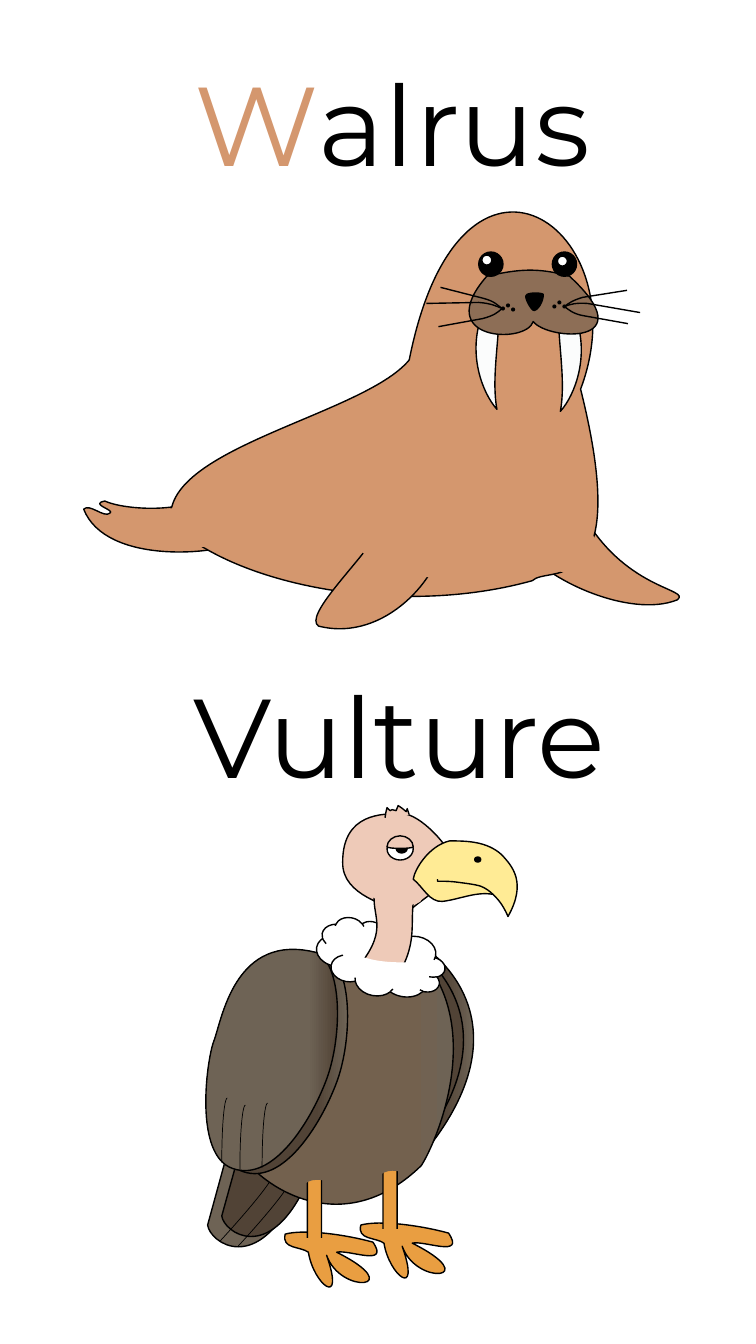
from dataclasses import dataclass

from lxml.etree import SubElement
from pptx import Presentation
from pptx.dml.color import RGBColor
from pptx.enum.shapes import MSO_SHAPE as Preset
from pptx.oxml.ns import qn
from pptx.util import Inches, Pt


@dataclass(frozen=True)
class Theme:
    """Colours, type and line widths of the slide."""
    font: str = "Montserrat"
    title_size: int = 80
    outline: float = 1
    feather_line: float = 0.5
    black: str = "000000"
    white: str = "FFFFFF"
    hide: str = "D4976E"
    muzzle: str = "8D6E56"
    tusk: str = "FBFCFC"
    grey: str = "6E6355"
    dark: str = "514336"
    brown: str = "73614E"
    leg: str = "E99E41"
    skin: str = "EECAB8"
    beak: str = "FFEB95"


@dataclass(frozen=True)
class Box:
    """A region of the slide in inches."""
    left: float
    top: float
    width: float
    height: float


THEME = Theme()
CURVE_STEPS = 12
PATH_TAGS = {"M": "a:moveTo", "L": "a:lnTo", "C": "a:cubicBezTo"}


def read_steps(path):
    """Split a path into its M, L and C steps with their points."""
    for letter in PATH_TAGS:
        path = path.replace(letter, "|" + letter)
    steps = []
    for step in path.split("|")[1:]:
        numbers = [Inches(float(number)) for number in step[1:].split()]
        steps.append((step[0], list(zip(numbers[::2], numbers[1::2]))))
    return steps


def trace(steps):
    """List points along the steps, which give the extent of the outline."""
    points = []
    for letter, pairs in steps:
        if letter != "C":
            points += pairs
            continue
        corners = [points[-1], *pairs]
        for index in range(1, CURVE_STEPS + 1):
            t = index / CURVE_STEPS
            weights = ((1 - t) ** 3, 3 * t * (1 - t) ** 2, 3 * t * t * (1 - t), t ** 3)
            points.append(tuple(sum(weight * corner[axis] for weight, corner in zip(weights, corners))
                                for axis in (0, 1)))
    return points


def bend(shape, steps, left, top, close):
    """Give a freeform true curves, measured from its own corner."""
    path = shape.element.spPr.find(".//" + qn("a:path"))
    for child in list(path):
        path.remove(child)
    for letter, pairs in steps:
        step = SubElement(path, qn(PATH_TAGS[letter]))
        for x, y in pairs:
            SubElement(step, qn("a:pt"), x=str(int(x - left)), y=str(int(y - top)))
    if close:
        SubElement(path, qn("a:close"))


class Sketch:
    """Draws parts at places measured from the corner of a box."""

    def __init__(self, page, box):
        """Keep the page's shapes and the box."""
        self.shapes, self.box = page.shapes, box

    def paint(self, shape, fill, line):
        """Set the fill, a plain colour or a gradient, and the line of a shape."""
        shape.shadow.inherit = False
        if fill is None:
            shape.fill.background()
        elif isinstance(fill, tuple):
            shape.fill.gradient()
            shape.fill.gradient_angle = 180
            for stop, (position, colour) in zip(shape.fill.gradient_stops, fill):
                stop.position = position
                stop.color.rgb = RGBColor.from_string(colour)
        else:
            shape.fill.solid()
            shape.fill.fore_color.rgb = RGBColor.from_string(fill)
        if line:
            shape.line.width = Pt(line)
            shape.line.color.rgb = RGBColor.from_string(THEME.black)
        else:
            shape.line.fill.background()

    def outline(self, path, fill=None, line=THEME.outline, shift=(0, 0), close=True):
        """Draw a free outline."""
        steps = read_steps(path)
        points = trace(steps)
        left, top = Inches(self.box.left + shift[0]), Inches(self.box.top + shift[1])
        builder = self.shapes.build_freeform(*points[0])
        builder.add_line_segments(points[1:], close=close)
        shape = builder.convert_to_shape(left, top)
        bend(shape, steps, shape.left - left, shape.top - top, close)
        self.paint(shape, fill, line)

    def preset(self, kind, left, top, width, height, fill=None, line=THEME.outline, turn=0, flip=False):
        """Draw a preset shape."""
        shape = self.shapes.add_shape(kind, Inches(self.box.left + left), Inches(self.box.top + top),
                                      Inches(width), Inches(height))
        shape.rotation = turn
        if flip:
            shape.element.spPr.find(qn("a:xfrm")).set("flipH", "1")
        self.paint(shape, fill, line)

    def title(self, left, top, width, height, initial, rest, colour):
        """Write a name with a coloured initial."""
        frame = self.shapes.add_textbox(Inches(self.box.left + left), Inches(self.box.top + top),
                                        Inches(width), Inches(height)).text_frame
        frame.word_wrap = True
        para = frame.paragraphs[0]
        para.font.name, para.font.size = THEME.font, Pt(THEME.title_size)
        for text, shade in ((initial, colour), (rest, THEME.black)):
            span = para.add_run()
            span.text = text
            span.font.color.rgb = RGBColor.from_string(shade)


def draw_vulture(page, box):
    """Draw the vulture and its name."""
    sketch, look = Sketch(page, box), THEME
    outline, preset = sketch.outline, sketch.preset
    sketch.title(1.82, 0.56, 4.9, 1.45, "V", "ulture", look.black)
    outline("M3.18 4.8 L2.49 4.58 L2.06 6.15 C2.08 6.32 2.55 6.67 2.95 5.81", look.grey)
    outline("M3.25 4.79 L2.61 4.58 L2.2 6.06 C2.22 6.22 2.67 6.55 3.04 5.74", look.dark)
    for left, top, height in ((2.27, 5.53, 1.58), (2.09, 5.46, 1.62)):
        preset(Preset.ARC, left, top, 0.11, height, line=look.feather_line, turn=42.6)
    rim = ((0, look.grey), (0.24, look.dark))
    for fill, shift in ((rim, (0, 0)), (look.dark, (-0.1, 0.01))):
        outline("M4.11 5.55 C5.34 4.16 4.29 3.41 4.09 3.32 C3.24 3.41 3.43 4.29 3.43 4.51 "
                "C3.39 4.9 4.03 5.56 4.11 5.55", fill, shift=shift)
    outline("M4.13 3.44 L3.26 3.48 L2.48 5.56 C2.77 5.87 3.48 6.24 4.18 5.56 C4.33 5.33 4.84 4.15 4.13 3.44",
            ((0, look.grey), (0.24, look.brown)))
    for across, down in ((0, 0), (-0.75, 0.09)):
        outline("M4.45 6.23 C4.16 6.15 3.76 6.1 3.58 6.15 C3.54 6.3 3.73 6.27 3.81 6.33 "
                "C3.86 6.65 4.18 6.9 3.99 6.36 C4.13 6.76 4.81 6.69 4.09 6.33 C4.21 6.3 4.62 6.48 4.45 6.23",
                look.leg, shift=(across, down))
        preset(Preset.ROUNDED_RECTANGLE, 3.8 + across, 5.55 + down, 0.14, 0.69, look.leg)
        preset(Preset.ROUNDED_RECTANGLE, 3.77 + across, 6.19 + down, 0.21, 0.11, look.leg, 0)
        outline("M4.05 5.63 C3.94 5.62 3.84 5.57 3.73 5.69 L3.69 5.46 L4.01 5.4",
                look.brown, 0, shift=(across, down))
    for fill, shift in ((rim, (0, 0)), (((0, look.dark), (0.22, look.grey)), (-0.1, -0.03))):
        outline("M3.33 4.76 C3.49 4.36 3.51 3.63 3.25 3.48 C2.42 3.26 2.3 4.16 2.22 4.36 "
                "C2.15 4.55 2.02 5.49 2.41 5.62 C2.81 5.76 3.18 5.15 3.33 4.76", fill, shift=shift)
    for left, top in ((2.38, 4.96), (2.2, 4.89), (2.6, 4.94)):
        preset(Preset.ARC, left, top, 0.11, 1.28, line=look.feather_line, flip=True)
    outline("M4.5 2.56 C4.48 2.41 4.17 2.07 3.99 2.07 C3.8 2.07 3.4 2.06 3.4 2.55 C3.39 2.89 3.87 2.98 3.99 3.05 "
            "C4.1 3.13 4.01 3.08 4.1 3 C4.19 2.92 4.52 2.72 4.5 2.56", look.skin)
    outline("M4.98 2.48 C4.83 2.34 4.62 2.34 4.46 2.34 C4.25 2.39 4.11 2.63 4.1 2.72 C4.2 2.8 4.26 2.95 4.39 2.94 "
            "C4.56 2.92 4.72 2.84 4.89 2.87 C4.92 2.9 4.98 2.95 5.04 3.09 C5.23 2.75 5.08 2.59 4.98 2.48", look.beak)
    preset(Preset.OVAL, 3.84, 2.31, 0.26, 0.22, look.white)
    preset(Preset.OVAL, 3.93, 2.37, 0.11, 0.09, look.black)
    preset(Preset.CLOUD, 3.13, 3.16, 1.29, 0.72, look.white, turn=10.5, flip=True)
    outline("M4.11 2.89 L3.72 2.83 C3.67 3.08 3.87 3.19 3.57 3.57 L3.96 3.65 C4.15 3.33 4.06 3.14 4.11 2.89",
            look.skin)
    preset(Preset.OVAL, 3.64, 2.77, 0.55, 0.2, look.skin, 0, turn=9.6)
    outline("M4.89 2.87 C4.86 2.84 4.82 2.81 4.77 2.79 C4.71 2.77 4.61 2.76 4.54 2.75 "
            "C4.47 2.74 4.38 2.74 4.34 2.74 L4.34 2.72", close=False)
    outline("M4.12 3.55 C3.9 3.54 3.7 3.56 3.46 3.43 L3.42 3.64 L4.08 3.76", look.white, 0)
    outline("M4.1 2.4 C4.1 2.34 4.04 2.29 3.97 2.29 C3.9 2.29 3.84 2.34 3.84 2.4 C3.86 2.42 4.08 2.42 4.1 2.4",
            look.skin)
    preset(Preset.OVAL, 4.71, 2.5, 0.06, 0.05, look.black)
    outline("M4.06 2.08 L4.04 2.02 L4.03 2.05 C4.02 2.04 3.97 2 3.95 1.99 L3.93 2.04 L3.89 2.03 L3.87 2.04 "
            "L3.84 2.01 L3.83 2.05 L3.82 2.11", look.skin, close=False)


def draw_walrus(page, box):
    """Draw the walrus and its name."""
    sketch, look = Sketch(page, box), THEME
    outline, preset = sketch.outline, sketch.preset
    sketch.title(1.83, 0.49, 4.66, 1.44, "W", "alrus", look.hide)
    for part, colour, line in (
            ("M6.72 5.95 C6.86 5.84 6.24 5.86 5.81 5.15 L5.19 5.42 C5.39 5.74 6.25 6.14 6.72 5.95", look.hide, 1),
            ("M2.38 4.91 L2.02 4.91 C1.83 5.09 1.24 5.06 1.04 4.97 C0.88 5 1.15 5.06 1.09 5.09 "
             "C1.03 5.14 0.89 4.99 0.83 5.05 C1.05 5.61 2.18 5.5 2.38 5.37", look.hide, 1),
            ("M5.76 3.86 C6.36 2.27 4.57 1 4.06 3.57 C3.61 4.12 1.56 4.45 1.7 5.19 "
             "C2.32 5.8 3.95 6.13 5.28 5.76 C5.44 5.6 6.29 5.98 5.76 3.86", look.hide, 1),
            ("M4.77 3.16 C4.65 3.52 4.78 3.89 4.93 4.06 C4.88 3.78 4.94 3.46 4.95 3.16", look.tusk, 1),
            ("M5.72 3.17 C5.84 3.54 5.71 3.91 5.56 4.08 C5.61 3.8 5.55 3.48 5.54 3.17", look.tusk, 1),
            ("M3.16 6.21 C3.01 6.11 3.55 5.6 3.74 5.3 L4.38 5.36 C4.38 5.69 3.83 6.38 3.16 6.21", look.hide, 1),
            ("M5.65 2.74 C5.33 2.65 5.14 2.67 4.83 2.74 C4.27 3.38 5.22 3.42 5.29 3.19 "
             "C5.44 3.38 6.4 3.43 5.65 2.74", look.muzzle, 1),
            ("M5.22 2.93 C5.2 2.95 5.27 3.08 5.3 3.08 C5.33 3.08 5.39 3 5.39 2.92 "
             "C5.37 2.9 5.23 2.9 5.22 2.93", look.black, 1),
            ("M3.33 5.1 C3.33 4.92 4.05 5.08 4.41 5.07 L4.72 5.64 C4.45 5.82 3.56 5.76 3.33 5.1", look.hide, 0),
            ("M1.54 5.26 C1.43 5.11 2.12 4.84 2.41 4.63 L2.98 4.94 C2.86 5.23 2.09 5.67 1.54 5.26", look.hide, 0),
            ("M4.92 5.05 C4.9 4.89 5.5 5.12 5.79 5.15 L6.12 5.71 C5.93 5.84 5.2 5.68 4.92 5.05", look.hide, 0)):
        outline(part, colour, line * look.outline)
    for eye, glint, top in ((4.75, 4.78, 2.53), (5.48, 5.53, 2.54)):
        preset(Preset.OVAL, eye, 2.5, 0.24, 0.24, look.black)
        preset(Preset.OVAL, glint, top, 0.1, 0.1, look.white)
    for left, top in ((4.97, 3.04), (5.07, 3.05), (5.02, 3.01), (5.48, 3.02), (5.53, 2.98), (5.58, 3.02)):
        preset(Preset.OVAL, left, top, 0.04, 0.04, look.black, 0)
    for whisker in ("M4.98 3.06 C4.94 3.03 4.91 2.99 4.8 2.96 L4.37 2.85",
                    "M4.98 3.06 C4.93 3.04 4.88 3.01 4.75 3 L4.23 3.01",
                    "M4.98 3.06 C4.94 3.1 4.9 3.13 4.79 3.16 L4.35 3.24",
                    "M5.6 3.04 C5.64 3.01 5.68 2.98 5.78 2.95 L6.22 2.88",
                    "M5.6 3.04 C5.65 3.02 5.71 3 5.83 3.01 L6.35 3.1",
                    "M5.6 3.04 C5.64 3.07 5.68 3.11 5.78 3.13 L6.23 3.21"):
        outline(whisker, close=False)


def main():
    """Build the slide and save it."""
    deck = Presentation()
    deck.slide_width, deck.slide_height = Inches(7.5), Inches(13.33)
    page = deck.slides.add_slide(deck.slide_layouts[6])
    draw_vulture(page, Box(0, 6, 7.5, 7.33))
    draw_walrus(page, Box(0, 0, 7.5, 6))
    deck.save("out.pptx")


if __name__ == "__main__":
    main()
